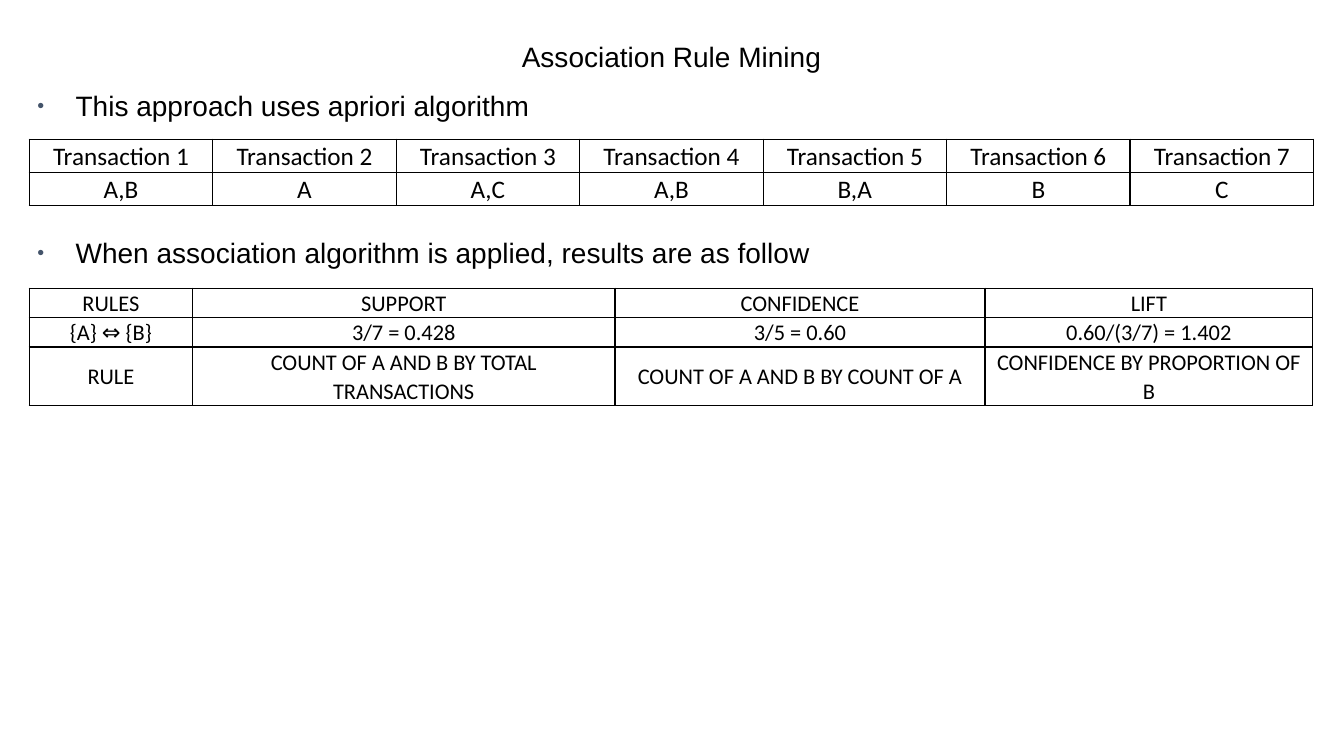
from dataclasses import dataclass
from lxml import etree
from pptx import Presentation
from pptx.dml.color import RGBColor
from pptx.enum.text import MSO_ANCHOR, MSO_AUTO_SIZE, PP_ALIGN
from pptx.oxml.ns import qn
from pptx.util import Inches, Pt

CENTER, LEFT = PP_ALIGN.CENTER, PP_ALIGN.LEFT
TOP, MIDDLE = MSO_ANCHOR.TOP, MSO_ANCHOR.MIDDLE
NO_FIT = MSO_AUTO_SIZE.NONE
TITLE_ONLY = 5


@dataclass(frozen=True)
class Theme:
    ink: str = "000000"
    dot: str = "44546A"
    head: str = "Arial"
    body: str = "Calibri"
    text: int = 20
    deal: int = 18
    rule: int = 16
    line: int = 1


THEME = Theme()
EDGE, WIDTH, LINE = 0.29, 12.74, 0.48
DEALS = ["A,B", "A", "A,C", "A,B", "B,A", "B", "C"]
DEAL_ROWS = [[f"Transaction {n}" for n in range(1, len(DEALS) + 1)], DEALS]
RULE_ROWS = [
    ["RULES", "SUPPORT", "CONFIDENCE", "LIFT"],
    ["{A} ⇔ {B}", "3/7 = 0.428", "3/5 = 0.60", "0.60/(3/7) = 1.402"],
    ["RULE", "COUNT OF A AND B BY TOTAL TRANSACTIONS",
     "COUNT OF A AND B BY COUNT OF A", "CONFIDENCE BY PROPORTION OF B"],
]


def write(para, text, font, size, align):
    para.alignment = align
    run = para.add_run()
    run.text = text
    run.font.name, run.font.size = font, Pt(size)
    run.font.color.rgb = RGBColor.from_string(THEME.ink)


def fill_line(shape, top, text, align):
    """Place a one-line text shape across the slide and write its text."""
    shape.left, shape.top = Inches(EDGE), Inches(top)
    shape.width, shape.height = Inches(WIDTH), Inches(LINE)
    frame = shape.text_frame
    frame.word_wrap, frame.auto_size = True, NO_FIT
    frame.vertical_anchor = TOP
    frame.margin_left = frame.margin_right = Inches(0.08)
    frame.margin_top = frame.margin_bottom = Inches(0.08)
    para = frame.paragraphs[0]
    write(para, text, THEME.head, THEME.text, align)
    return para


def add_point(slide, top, text):
    box = slide.shapes.add_textbox(0, 0, 0, 0)
    props = fill_line(box, top, text, LEFT)._p.get_or_add_pPr()
    props.set("marL", str(Inches(0.38)))
    props.set("indent", str(-Inches(0.38)))
    tint = etree.SubElement(props, qn("a:buClr"))
    etree.SubElement(tint, qn("a:srgbClr"), val=THEME.dot)
    etree.SubElement(props, qn("a:buSzPct"), val="70000")
    etree.SubElement(props, qn("a:buFont"), typeface=THEME.head)
    etree.SubElement(props, qn("a:buChar"), char="•")


def draw_edges(cell):
    props = cell._tc.get_or_add_tcPr()
    for side in ("lnL", "lnR", "lnT", "lnB"):
        edge = etree.SubElement(props, qn(f"a:{side}"), w=str(Pt(THEME.line)))
        fill = etree.SubElement(edge, qn("a:solidFill"))
        etree.SubElement(fill, qn("a:srgbClr"), val=THEME.ink)


def add_grid(slide, top, rows, widths, heights, size):
    """Add a plain ruled table with centred text."""
    table = slide.shapes.add_table(
        len(rows), len(widths), Inches(EDGE), Inches(top),
        Inches(sum(widths)), Inches(sum(heights))).table
    table.first_row = table.horz_banding = False
    for col, width in zip(table.columns, widths):
        col.width = Inches(width)
    for row, height, texts in zip(table.rows, heights, rows):
        row.height = Inches(height)
        for cell, text in zip(row.cells, texts):
            cell.vertical_anchor = MIDDLE
            cell.margin_left = cell.margin_right = Inches(0.07)
            cell.margin_top = cell.margin_bottom = 0
            draw_edges(cell)
            cell.fill.background()
            para = cell.text_frame.paragraphs[0]
            para.line_spacing = 1.07
            write(para, text, THEME.body, size, CENTER)


def build_slide(deck):
    slide = deck.slides.add_slide(deck.slide_layouts[TITLE_ONLY])
    fill_line(slide.shapes.title, 0.31, "Association Rule Mining", CENTER)
    add_point(slide, 0.8, "This approach uses apriori algorithm")
    add_grid(slide, 1.38, DEAL_ROWS, [WIDTH / len(DEALS)] * len(DEALS),
             [0.33, 0.33], THEME.deal)
    add_point(slide, 2.26,
              "When association algorithm is applied, results are as follow")
    add_grid(slide, 2.86, RULE_ROWS, [1.62, 4.19, 3.67, 3.25],
             [0.29, 0.29, 0.58], THEME.rule)


def main():
    deck = Presentation()
    deck.slide_width, deck.slide_height = Inches(13.33), Inches(7.5)
    build_slide(deck)
    deck.save("out.pptx")


if __name__ == "__main__":
    main()
